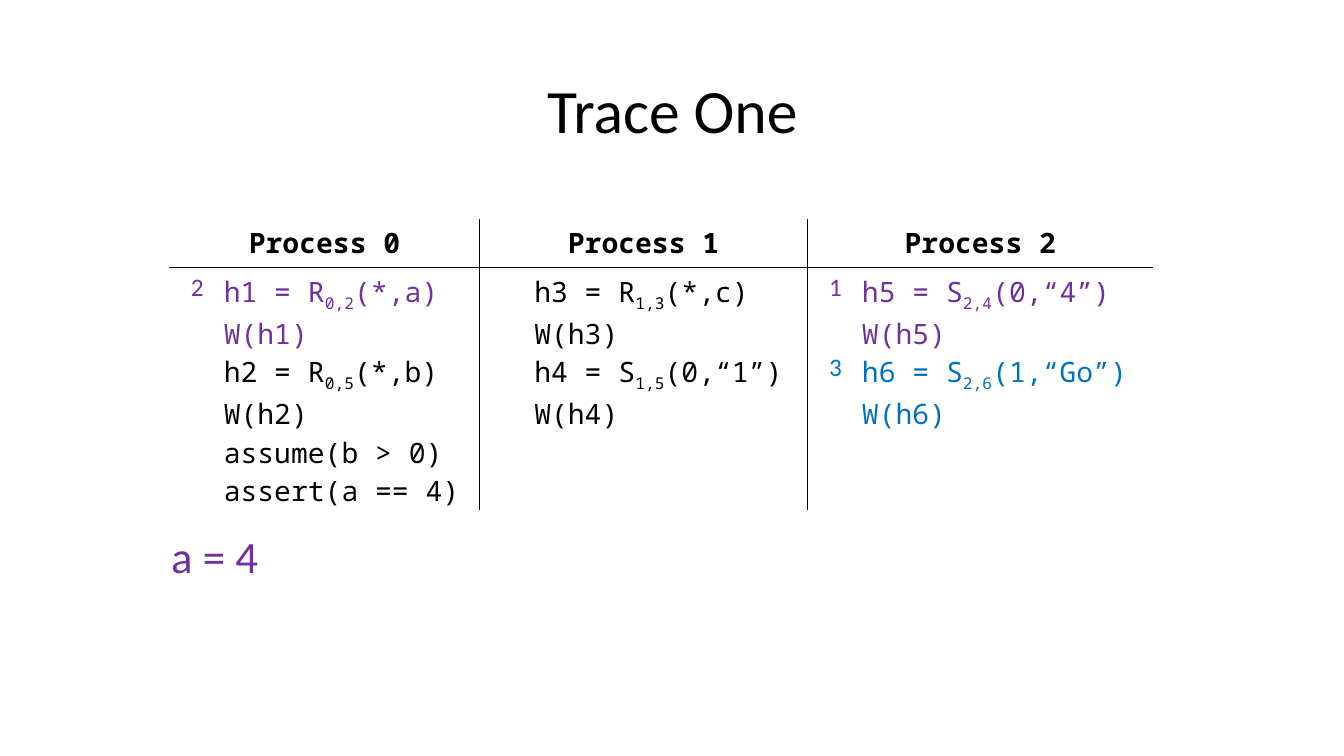
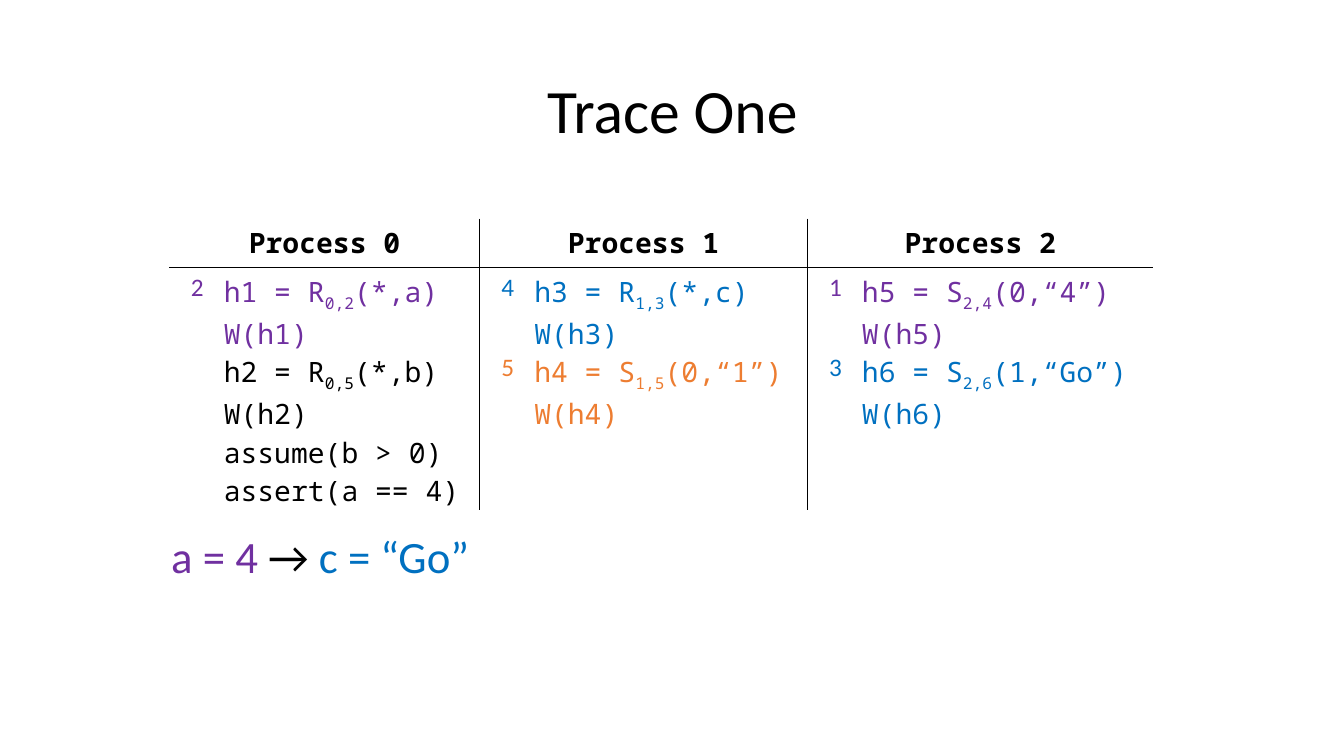
import dataclasses

import pptx
import pptx.dml.color
import pptx.enum.text
import pptx.oxml
import pptx.oxml.ns
import pptx.util

Inches = pptx.util.Inches
Pt = pptx.util.Pt
qn = pptx.oxml.ns.qn
Align = pptx.enum.text.PP_ALIGN


@dataclasses.dataclass(frozen=True)
class Theme:
    text_font: str = "Calibri"
    code_font: str = "Noto Sans Mono"
    black: str = "000000"
    white: str = "FFFFFF"
    purple: str = "7030A0"
    blue: str = "0070C0"
    orange: str = "ED7D31"
    title_size: int = 44
    result_size: int = 32
    code_size: int = 20
    step_size: int = 18
    rule_width: int = 1
    no_table_style: str = "{2D5ABB26-0587-4C30-8999-92F81FD0307C}"


THEME = Theme()

PROCESSES = ["Process 0", "Process 1", "Process 2"]
# Rows of code, one group of lines per process; bars enclose a subscript.
PROGRAM = [
    [["h1 = R|0,2|(*,a)", "W(h1)"], ["h3 = R|1,3|(*,c)", "W(h3)"], ["h5 = S|2,4|(0,“4”)", "W(h5)"]],
    [["h2 = R|0,5|(*,b)", "W(h2)"], ["h4 = S|1,5|(0,“1”)", "W(h4)"], ["h6 = S|2,6|(1,“Go”)", "W(h6)"]],
    [["assume(b > 0)", "assert(a == 4)"], [], []],
]
STEP_WIDTH = 0.44
CODE_WIDTHS = [2.64, 2.81, 2.99]
ROW_HEIGHTS = [0.48, 0.85, 0.8, 0.76]

# Executed steps: (program row, process) -> (step number, colour)
FIRST_STEPS = {
    (0, 2): ("1", THEME.purple),
    (0, 0): ("2", THEME.purple),
    (1, 2): ("3", THEME.blue),
}
LATER_STEPS = {
    (0, 1): ("4", THEME.blue),
    (1, 1): ("5", THEME.orange),
}
FIRST_RESULT = [("a = 4", THEME.purple)]
LATER_RESULT = [(" → ", THEME.black), ("c = “Go”", THEME.blue)]


class TraceDeck:
    def __init__(self, theme):
        self.theme = theme
        self.presentation = pptx.Presentation()
        self.presentation.slide_width = Inches(13.33)
        self.presentation.slide_height = Inches(7.5)
        self.slide = None

    def new_slide(self):
        blank = self.presentation.slide_layouts[6]
        self.slide = self.presentation.slides.add_slide(blank)

    def style(self, font, size, name, color=None, bold=False):
        font.size = Pt(size)
        font.name = name
        font.bold = bold
        if color:
            font.color.rgb = pptx.dml.color.RGBColor.from_string(color)

    def title(self, text):
        box = self.slide.shapes.add_textbox(Inches(0.92), Inches(0.4), Inches(11.5), Inches(1.45))
        frame = box.text_frame
        frame.word_wrap = True
        frame.vertical_anchor = pptx.enum.text.MSO_ANCHOR.MIDDLE
        heading = frame.paragraphs[0]
        heading.text = text
        heading.alignment = Align.CENTER
        heading.line_spacing = 0.9
        self.style(heading.font, self.theme.title_size, self.theme.text_font, self.theme.black)

    def result(self, parts, width):
        """Write the values known so far, each part in its own colour."""
        box = self.slide.shapes.add_textbox(Inches(1.6), Inches(5.2), Inches(width), Inches(0.64))
        frame = box.text_frame
        frame.word_wrap = False
        frame.auto_size = pptx.enum.text.MSO_AUTO_SIZE.SHAPE_TO_FIT_TEXT
        values = frame.paragraphs[0]
        self.style(values.font, self.theme.result_size, self.theme.text_font)
        for text, color in parts:
            run = values.add_run()
            run.text = text
            run.font.color.rgb = pptx.dml.color.RGBColor.from_string(color)

    def borders(self, cell, ruled):
        """Rule the sides named in ruled, and state that the others have no line."""
        properties = cell._tc.get_or_add_tcPr()
        rule = f'<a:solidFill><a:srgbClr val="{self.theme.black}"/></a:solidFill>'
        for position, side in enumerate("LRTB"):
            line = pptx.oxml.parse_xml(
                f'<a:ln{side} xmlns:a="http://schemas.openxmlformats.org/drawingml/2006/main"'
                f' w="{Pt(self.theme.rule_width)}">'
                f'{rule if side in ruled else "<a:noFill/>"}</a:ln{side}>'
            )
            properties.insert(position, line)

    def code(self, cell, lines, color):
        frame = cell.text_frame
        for index, line in enumerate(lines):
            paragraph = frame.add_paragraph() if index else frame.paragraphs[0]
            self.style(paragraph.font, self.theme.code_size, self.theme.code_font, color)
            for part, text in enumerate(line.split("|")):
                run = paragraph.add_run()
                run.text = text
                if part % 2:
                    run._r.get_or_add_rPr().set("baseline", "-25000")

    def label(self, cell, text, alignment, size, font, color, bold=False):
        paragraph = cell.text_frame.paragraphs[0]
        paragraph.text = text
        paragraph.alignment = alignment
        self.style(paragraph.font, size, font, color, bold)

    def prepare_cells(self, table):
        """Fill and rule every cell, and set the margins of the code rows."""
        last_column = len(table.columns) - 1
        for row_index, row in enumerate(table.rows):
            for column, cell in enumerate(row.cells):
                cell.fill.solid()
                cell.fill.fore_color.rgb = pptx.dml.color.RGBColor.from_string(self.theme.white)
                right_edge = column + 1 if cell.is_merge_origin else column
                ruled = ""
                if column and column % 2 == 0:
                    ruled += "L"
                if right_edge % 2 and right_edge < last_column:
                    ruled += "R"
                if row_index == 1:
                    ruled += "T"
                if row_index == 0:
                    ruled += "B"
                self.borders(cell, ruled)
                if row_index:
                    cell.margin_top = Inches(0.05 if row_index == 1 else 0)
                    cell.margin_bottom = 0

    def trace(self, steps):
        """Draw the program table with the executed steps numbered and coloured."""
        theme = self.theme
        widths = [width for code_width in CODE_WIDTHS for width in (STEP_WIDTH, code_width)]
        frame = self.slide.shapes.add_table(
            len(ROW_HEIGHTS), len(widths), Inches(1.68), Inches(2.17),
            Inches(sum(widths)), Inches(sum(ROW_HEIGHTS)),
        )
        table = frame.table
        table.first_row = table.horz_banding = False
        table._tbl.tblPr.find(qn("a:tableStyleId")).text = theme.no_table_style
        for column, width in zip(table.columns, widths):
            column.width = Inches(width)
        for row, height in zip(table.rows, ROW_HEIGHTS):
            row.height = Inches(height)

        for process, name in enumerate(PROCESSES):
            header = table.cell(0, 2 * process)
            header.merge(table.cell(0, 2 * process + 1))
            self.label(header, name, Align.CENTER, theme.code_size, theme.code_font, theme.black, True)
        self.prepare_cells(table)

        for row, groups in enumerate(PROGRAM):
            for process, lines in enumerate(groups):
                number, color = steps.get((row, process), ("", theme.black))
                if number:
                    self.label(table.cell(row + 1, 2 * process), number, Align.RIGHT,
                               theme.step_size, theme.text_font, color)
                self.code(table.cell(row + 1, 2 * process + 1), lines, color)


def main():
    deck = TraceDeck(THEME)
    states = [
        (FIRST_STEPS, FIRST_RESULT, 1.28),
        (FIRST_STEPS | LATER_STEPS, FIRST_RESULT + LATER_RESULT, 3.42),
    ]
    for steps, result, result_width in states:
        deck.new_slide()
        deck.title("Trace One")
        deck.trace(steps)
        deck.result(result, result_width)
    deck.presentation.save("out.pptx")


if __name__ == "__main__":
    main()
